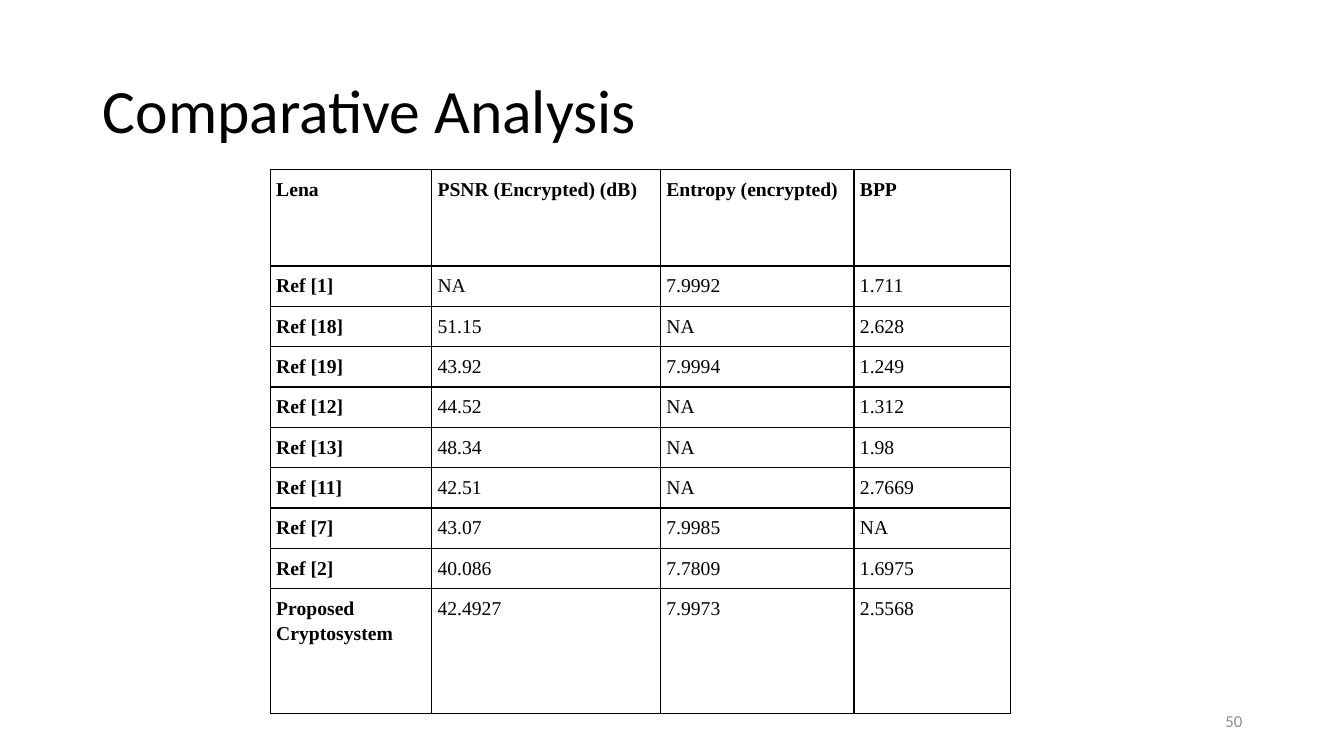
from dataclasses import dataclass

from lxml import etree
from pptx import Presentation
from pptx.dml.color import RGBColor
from pptx.enum.text import MSO_ANCHOR, PP_ALIGN
from pptx.oxml.ns import qn
from pptx.util import Inches, Pt

LEFT = PP_ALIGN.LEFT
RIGHT = PP_ALIGN.RIGHT
JUSTIFY = PP_ALIGN.JUSTIFY
MIDDLE = MSO_ANCHOR.MIDDLE
TOP = MSO_ANCHOR.TOP

COLORS = {"background": "FFFFFF", "text": "000000", "border": "000000", "number": "8C8C8C"}
HEADING_FONT = "Calibri"
TABLE_FONT = "Times New Roman"
TITLE_ONLY_LAYOUT = 5
CELL_MARGIN = Inches(0.06)
BORDER_WIDTH = Pt(1)
COLUMN_WIDTHS = (1.6, 2.27, 1.92, 1.55)
HEADER_HEIGHT, REFERENCE_HEIGHT, PROPOSED_HEIGHT = 0.96, 0.4, 1.24


@dataclass(frozen=True)
class Result:
    method: str
    psnr: str
    entropy: str
    bpp: str

    def values(self) -> tuple[str, ...]:
        return self.method, self.psnr, self.entropy, self.bpp


HEADER = Result("Lena", "PSNR (Encrypted) (dB)", "Entropy (encrypted)", "BPP")
REFERENCES = (
    Result("Ref [1]", "NA", "7.9992", "1.711"),
    Result("Ref [18]", "51.15", "NA", "2.628"),
    Result("Ref [19]", "43.92", "7.9994", "1.249"),
    Result("Ref [12]", "44.52", "NA", "1.312"),
    Result("Ref [13]", "48.34", "NA", "1.98"),
    Result("Ref [11]", "42.51", "NA", "2.7669"),
    Result("Ref [7]", "43.07", "7.9985", "NA"),
    Result("Ref [2]", "40.086", "7.7809", "1.6975"),
)
PROPOSED = Result("Proposed Cryptosystem", "42.4927", "7.9973", "2.5568")


def format_paragraph(paragraph, font_name: str, size: float, color: str,
                     alignment, bold: bool = False) -> None:
    paragraph.alignment = alignment
    font = paragraph.font
    font.name = font_name
    font.size = Pt(size)
    font.bold = bold
    font.color.rgb = RGBColor.from_string(COLORS[color])


def add_borders(cell) -> None:
    properties = cell._tc.get_or_add_tcPr()
    for side in ("a:lnL", "a:lnR", "a:lnT", "a:lnB"):
        line = etree.SubElement(properties, qn(side), w=str(BORDER_WIDTH))
        fill = etree.SubElement(line, qn("a:solidFill"))
        etree.SubElement(fill, qn("a:srgbClr"), val=COLORS["border"])


def fill_cell(cell, text: str, bold: bool) -> None:
    cell.text = text
    cell.vertical_anchor = TOP
    cell.margin_left = cell.margin_right = CELL_MARGIN
    cell.margin_top = cell.margin_bottom = CELL_MARGIN
    paragraph = cell.text_frame.paragraphs[0]
    format_paragraph(paragraph, TABLE_FONT, 14, "text", JUSTIFY, bold)
    paragraph.line_spacing = 1.15
    paragraph.space_before = Pt(12)
    paragraph.space_after = Pt(8)
    add_borders(cell)
    cell.fill.background()


def add_title(slide) -> None:
    title = slide.shapes.title
    title.left, title.top = Inches(0.92), Inches(0.4)
    title.width, title.height = Inches(11.5), Inches(1.45)
    title.text_frame.text = "Comparative Analysis"
    title.text_frame.vertical_anchor = MIDDLE
    paragraph = title.text_frame.paragraphs[0]
    format_paragraph(paragraph, HEADING_FONT, 44, "text", LEFT)
    paragraph.line_spacing = 0.9


def add_comparison_table(slide) -> None:
    results = (HEADER, *REFERENCES, PROPOSED)
    heights = (HEADER_HEIGHT, *[REFERENCE_HEIGHT] * len(REFERENCES), PROPOSED_HEIGHT)
    table = slide.shapes.add_table(
        len(results), len(COLUMN_WIDTHS), Inches(2.68), Inches(1.68),
        Inches(sum(COLUMN_WIDTHS)), Inches(sum(heights))).table
    table.horz_banding = False
    for column, width in zip(table.columns, COLUMN_WIDTHS):
        column.width = Inches(width)
    for row, height, result in zip(table.rows, heights, results):
        row.height = Inches(height)
        for index, (cell, value) in enumerate(zip(row.cells, result.values())):
            fill_cell(cell, value, bold=result is HEADER or index == 0)


def add_slide_number(slide) -> None:
    box = slide.shapes.add_textbox(Inches(9.42), Inches(6.95), Inches(3), Inches(0.4))
    frame = box.text_frame
    frame.word_wrap = True
    frame.vertical_anchor = MIDDLE
    frame.text = "50"
    format_paragraph(frame.paragraphs[0], HEADING_FONT, 12, "number", RIGHT)


def main() -> None:
    presentation = Presentation()
    presentation.slide_width = Inches(13.33)
    presentation.slide_height = Inches(7.5)
    slide = presentation.slides.add_slide(presentation.slide_layouts[TITLE_ONLY_LAYOUT])
    background = slide.background.fill
    background.solid()
    background.fore_color.rgb = RGBColor.from_string(COLORS["background"])
    add_title(slide)
    add_comparison_table(slide)
    add_slide_number(slide)
    presentation.save("out.pptx")


if __name__ == "__main__":
    main()
